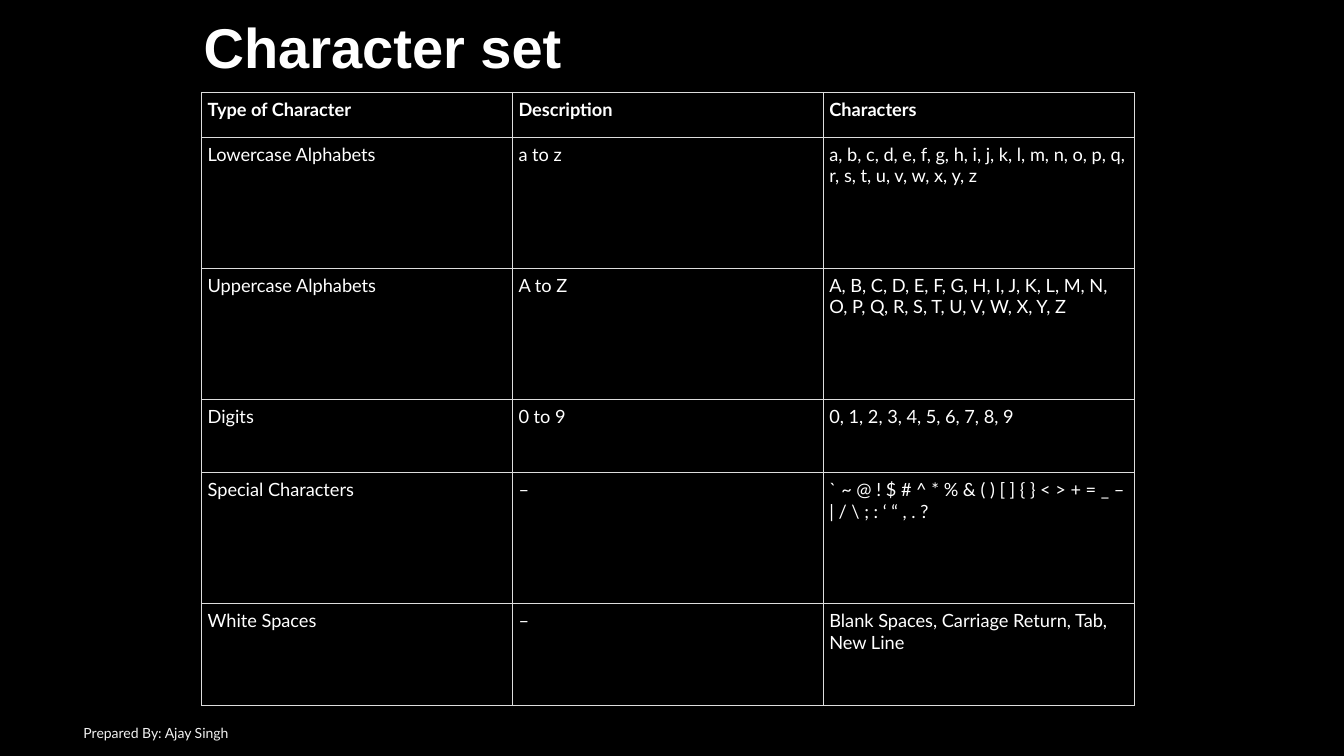
from lxml import etree
from pptx import Presentation
from pptx.dml.color import RGBColor
from pptx.enum.text import MSO_ANCHOR, MSO_AUTO_SIZE, PP_ALIGN
from pptx.oxml.ns import qn
from pptx.util import Inches, Pt

COLORS = {
    "background": "000000",
    "text": "FFFFFF",
    "footer": "F2F2F2",
    "border": "DDDDDD",
}
ROW_HEIGHTS = [0.44, 1.3, 1.3, 0.73, 1.3, 1.01]
CHARACTER_ROWS = [
    ("Type of Character", "Description", "Characters"),
    ("Lowercase Alphabets", "a to z",
     "a, b, c, d, e, f, g, h, i, j, k, l, m, n, o, p, q, r, s, t, u, v, w, x, y, z"),
    ("Uppercase Alphabets", "A to Z",
     "A, B, C, D, E, F, G, H, I, J, K, L, M, N, O, P, Q, R, S, T, U, V, W, X, Y, Z"),
    ("Digits", "0 to 9", "0, 1, 2, 3, 4, 5, 6, 7, 8, 9"),
    ("Special Characters", "–",
     "` ~ @ ! $ # ^ * % & ( ) [ ] { } < > + = _ – | / \\ ; : ‘ “ , . ?"),
    ("White Spaces", "–", "Blank Spaces, Carriage Return, Tab, New Line"),
]


def set_text(text_frame, text, size, font_name, color, bold=False):
    text_frame.text = text
    paragraph = text_frame.paragraphs[0]
    paragraph.alignment = PP_ALIGN.LEFT
    font = paragraph.runs[0].font
    font.size = Pt(size)
    font.name = font_name
    font.bold = bold
    font.color.rgb = RGBColor.from_string(COLORS[color])


def add_title(slide, text):
    title = slide.shapes.title
    title.left, title.top = Inches(1.92), Inches(0.07)
    title.width, title.height = Inches(3.79), Inches(0.77)
    text_frame = title.text_frame
    set_text(text_frame, text, 40, "Arial", "text", bold=True)
    text_frame.word_wrap = False
    text_frame.auto_size = MSO_AUTO_SIZE.SHAPE_TO_FIT_TEXT
    text_frame.vertical_anchor = MSO_ANCHOR.TOP


def set_borders(cell):
    properties = cell._tc.get_or_add_tcPr()
    for side in ("lnL", "lnR", "lnT", "lnB"):
        line = etree.SubElement(properties, qn(f"a:{side}"), w=str(Pt(0.75)))
        fill = etree.SubElement(line, qn("a:solidFill"))
        etree.SubElement(fill, qn("a:srgbClr"), val=COLORS["border"])


def add_character_table(slide):
    frame = slide.shapes.add_table(
        len(CHARACTER_ROWS), len(CHARACTER_ROWS[0]),
        Inches(2), Inches(0.92), Inches(9.25), Inches(sum(ROW_HEIGHTS)))
    table = frame.table
    for row, height in zip(table.rows, ROW_HEIGHTS):
        row.height = Inches(height)
    for row_index, texts in enumerate(CHARACTER_ROWS):
        for column_index, text in enumerate(texts):
            cell = table.cell(row_index, column_index)
            cell.margin_left = cell.margin_right = Inches(0.06)
            cell.margin_top = cell.margin_bottom = Inches(0.06)
            set_text(cell.text_frame, text, 13, "Lato", "text", bold=row_index == 0)
            set_borders(cell)
            cell.fill.background()


def add_footer(slide, text):
    footer = slide.shapes.add_textbox(Inches(0.73), Inches(7.07), Inches(7.3), Inches(0.4))
    text_frame = footer.text_frame
    set_text(text_frame, text, 10, "Lato", "footer")
    text_frame.word_wrap = True
    text_frame.vertical_anchor = MSO_ANCHOR.MIDDLE


def main():
    presentation = Presentation()
    presentation.slide_width = Inches(13.33)
    presentation.slide_height = Inches(7.5)
    title_only = presentation.slide_layouts[5]
    slide = presentation.slides.add_slide(title_only)
    background = slide.background.fill
    background.solid()
    background.fore_color.rgb = RGBColor.from_string(COLORS["background"])
    add_title(slide, "Character set")
    add_character_table(slide)
    add_footer(slide, "Prepared By: Ajay Singh")
    presentation.save("out.pptx")


if __name__ == "__main__":
    main()
